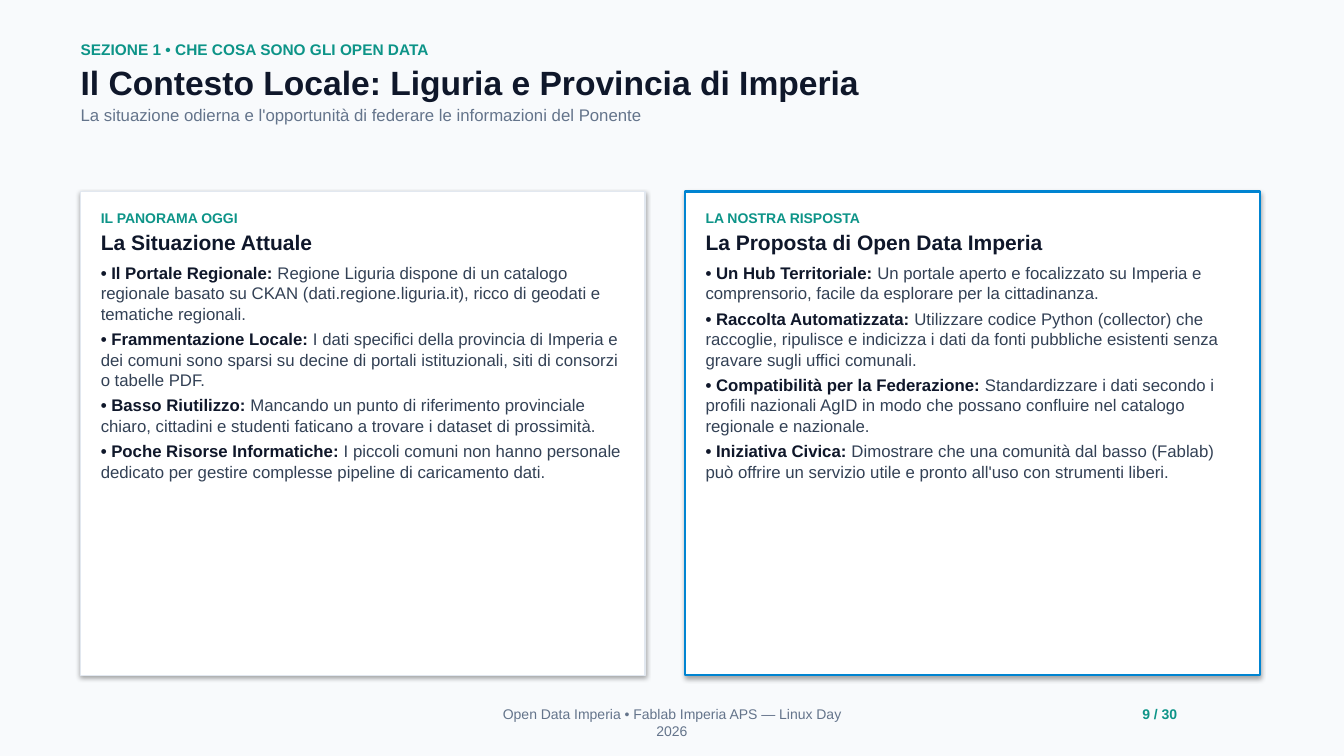
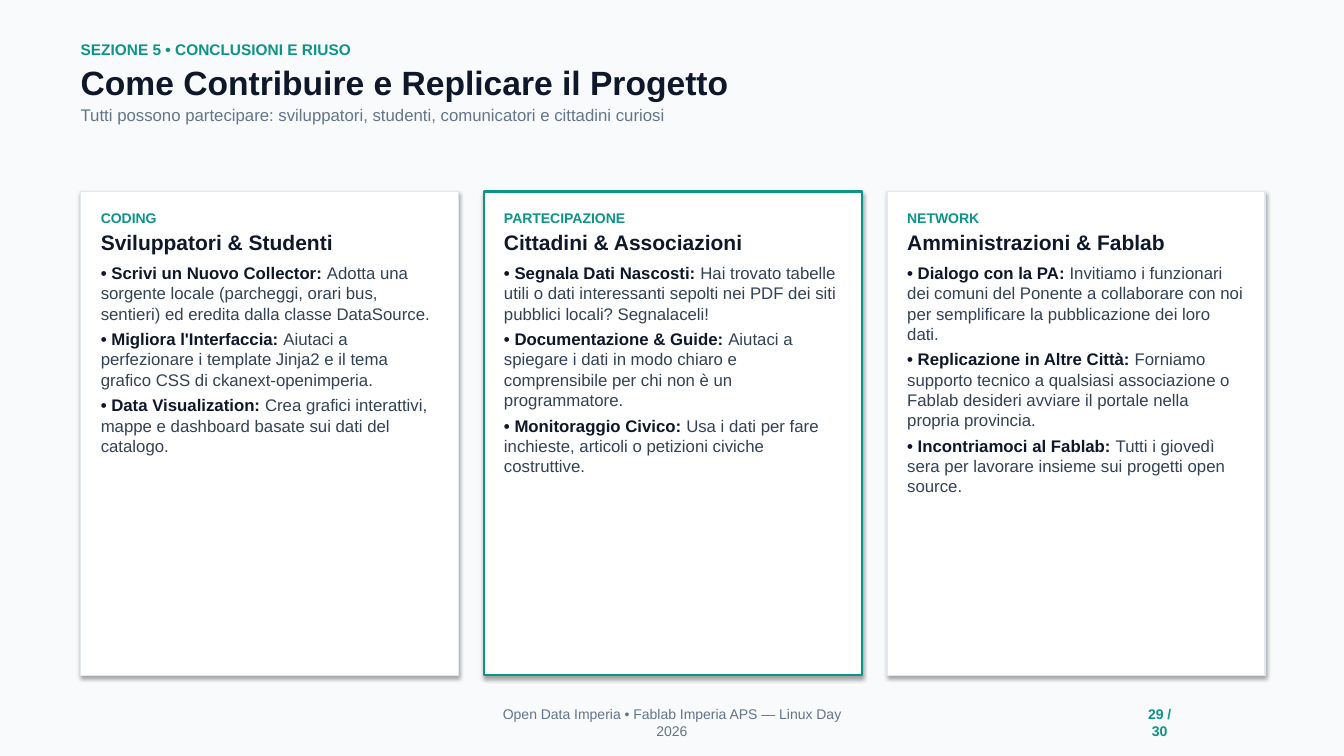
from lxml.etree import SubElement
from pptx import Presentation
from pptx.dml.color import RGBColor
from pptx.enum.shapes import MSO_SHAPE
from pptx.enum.text import MSO_AUTO_SIZE, PP_ALIGN
from pptx.oxml.ns import qn
from pptx.util import Pt

# Palette and type
PAPER = RGBColor(0xF8, 0xFA, 0xFC)
WHITE = RGBColor(0xFF, 0xFF, 0xFF)
INK = RGBColor(0x0F, 0x17, 0x2A)
BODY = RGBColor(0x33, 0x41, 0x55)
MUTED = RGBColor(0x64, 0x74, 0x8B)
TEAL = RGBColor(0x0D, 0x94, 0x88)
BLUE = RGBColor(0x00, 0x84, 0xD1)
EDGE = RGBColor(0xE2, 0xE8, 0xF0)
FONT = "Arial"

# Shared layout, in points
WIDE, HIGH = 960, 540
LEFT, TOP, TALL = 57.6, 136.8, 345.6
PAD_X, PAD_Y = 14.4, 13
FOOT_Y, FOOT_H = 504, 12.4
PAGES = 30
FOOT = "Open Data Imperia • Fablab Imperia APS — Linux Day 2026"


def add_frame(slide, x, y, w, h, wrap=True):
    """Add an empty text box without margins."""
    frame = slide.shapes.add_textbox(Pt(x), Pt(y), Pt(w), Pt(h)).text_frame
    frame.margin_left = frame.margin_right = 0
    frame.margin_top = frame.margin_bottom = 0
    frame.word_wrap = wrap
    frame.auto_size = MSO_AUTO_SIZE.SHAPE_TO_FIT_TEXT
    return frame


def add_run(para, text, size, color, bold=False):
    run = para.add_run()
    run.text = text
    font = run.font
    font.name, font.size, font.bold = FONT, Pt(size), bold
    font.color.rgb = color


def add_line(frame, after=0, first=False):
    para = frame.paragraphs[0] if first else frame.add_paragraph()
    para.space_after = Pt(after)
    return para


def add_shade(shape):
    """Give a shape a soft shadow that falls straight down."""
    shape.shadow.inherit = False
    effects = shape._element.spPr.find(qn("a:effectLst"))
    outer = SubElement(effects, qn("a:outerShdw"), blurRad=str(Pt(3.1)),
                       dist=str(Pt(1.8)), dir="5400000", rotWithShape="0")
    black = SubElement(outer, qn("a:srgbClr"), val="000000")
    SubElement(black, qn("a:alpha"), val="35000")


def add_head(slide, label, title, lead):
    frame = add_frame(slide, LEFT, 28.8, WIDE - 2 * LEFT, 60.5)
    add_run(add_line(frame, 2, True), label, 11, TEAL, True)
    add_run(add_line(frame, 2), title, 24, INK, True)
    add_run(add_line(frame), lead, 12, MUTED)


def add_card(slide, x, y, w, h, card):
    edge, label, title, items = card
    # Panel
    box = slide.shapes.add_shape(MSO_SHAPE.RECTANGLE, Pt(x), Pt(y), Pt(w), Pt(h))
    box.fill.solid()
    box.fill.fore_color.rgb = WHITE
    box.line.color.rgb = edge
    box.line.width = Pt(1 if edge == EDGE else 1.5)
    add_shade(box)
    # Text
    frame = add_frame(slide, x + PAD_X, y + PAD_Y, w - 2 * PAD_X, 194)
    add_run(add_line(frame, 2, True), label, 10, TEAL, True)
    add_run(add_line(frame, 6), title, 15, INK, True)
    for name, text in items:
        para = add_line(frame, 4)
        add_run(para, f"• {name}: ", 12, INK, True)
        add_run(para, text, 12, BODY)


def add_foot(slide, page):
    parts = [(346.8, 266.4, FOOT, MUTED, False),
             (813.4, 30, f"{page} / {PAGES}", TEAL, True)]
    for x, w, text, color, bold in parts:
        frame = add_frame(slide, x, FOOT_Y, w, FOOT_H, wrap=False)
        para = add_line(frame, first=True)
        para.alignment = PP_ALIGN.CENTER
        add_run(para, text, 10, color, bold)


def add_page(deck, page, head, widths, gap, cards):
    slide = deck.slides.add_slide(deck.slide_layouts[6])
    fill = slide.background.fill
    fill.solid()
    fill.fore_color.rgb = PAPER
    add_head(slide, *head)
    x = LEFT
    for w, card in zip(widths, cards):
        add_card(slide, x, TOP, w, TALL, card)
        x += w + gap
    add_foot(slide, page)


# Content: edge, label, title, items
LOCAL = [
    (EDGE, "IL PANORAMA OGGI", "La Situazione Attuale", [
        ("Il Portale Regionale",
         "Regione Liguria dispone di un catalogo regionale basato su CKAN "
         "(dati.regione.liguria.it), ricco di geodati e tematiche regionali."),
        ("Frammentazione Locale",
         "I dati specifici della provincia di Imperia e dei comuni sono sparsi "
         "su decine di portali istituzionali, siti di consorzi o tabelle PDF."),
        ("Basso Riutilizzo",
         "Mancando un punto di riferimento provinciale chiaro, cittadini e "
         "studenti faticano a trovare i dataset di prossimità."),
        ("Poche Risorse Informatiche",
         "I piccoli comuni non hanno personale dedicato per gestire complesse "
         "pipeline di caricamento dati."),
    ]),
    (BLUE, "LA NOSTRA RISPOSTA", "La Proposta di Open Data Imperia", [
        ("Un Hub Territoriale",
         "Un portale aperto e focalizzato su Imperia e comprensorio, facile da "
         "esplorare per la cittadinanza."),
        ("Raccolta Automatizzata",
         "Utilizzare codice Python (collector) che raccoglie, ripulisce e "
         "indicizza i dati da fonti pubbliche esistenti senza gravare sugli "
         "uffici comunali."),
        ("Compatibilità per la Federazione",
         "Standardizzare i dati secondo i profili nazionali AgID in modo che "
         "possano confluire nel catalogo regionale e nazionale."),
        ("Iniziativa Civica",
         "Dimostrare che una comunità dal basso (Fablab) può offrire un "
         "servizio utile e pronto all'uso con strumenti liberi."),
    ]),
]

REUSE = [
    (EDGE, "CODING", "Sviluppatori & Studenti", [
        ("Scrivi un Nuovo Collector",
         "Adotta una sorgente locale (parcheggi, orari bus, sentieri) ed "
         "eredita dalla classe DataSource."),
        ("Migliora l'Interfaccia",
         "Aiutaci a perfezionare i template Jinja2 e il tema grafico CSS di "
         "ckanext-openimperia."),
        ("Data Visualization",
         "Crea grafici interattivi, mappe e dashboard basate sui dati del "
         "catalogo."),
    ]),
    (TEAL, "PARTECIPAZIONE", "Cittadini & Associazioni", [
        ("Segnala Dati Nascosti",
         "Hai trovato tabelle utili o dati interessanti sepolti nei PDF dei "
         "siti pubblici locali? Segnalaceli!"),
        ("Documentazione & Guide",
         "Aiutaci a spiegare i dati in modo chiaro e comprensibile per chi non "
         "è un programmatore."),
        ("Monitoraggio Civico",
         "Usa i dati per fare inchieste, articoli o petizioni civiche "
         "costruttive."),
    ]),
    (EDGE, "NETWORK", "Amministrazioni & Fablab", [
        ("Dialogo con la PA",
         "Invitiamo i funzionari dei comuni del Ponente a collaborare con noi "
         "per semplificare la pubblicazione dei loro dati."),
        ("Replicazione in Altre Città",
         "Forniamo supporto tecnico a qualsiasi associazione o Fablab desideri "
         "avviare il portale nella propria provincia."),
        ("Incontriamoci al Fablab",
         "Tutti i giovedì sera per lavorare insieme sui progetti open source."),
    ]),
]


def main():
    deck = Presentation()
    deck.slide_width, deck.slide_height = Pt(WIDE), Pt(HIGH)
    add_page(deck, 9, (
        "SEZIONE 1 • CHE COSA SONO GLI OPEN DATA",
        "Il Contesto Locale: Liguria e Provincia di Imperia",
        "La situazione odierna e l'opportunità di federare le informazioni "
        "del Ponente"), [403.2, 410.4], 28.8, LOCAL)
    add_page(deck, 29, (
        "SEZIONE 5 • CONCLUSIONI E RIUSO",
        "Come Contribuire e Replicare il Progetto",
        "Tutti possono partecipare: sviluppatori, studenti, comunicatori e "
        "cittadini curiosi"), [270] * 3, 18, REUSE)
    deck.save("out.pptx")


if __name__ == "__main__":
    main()
